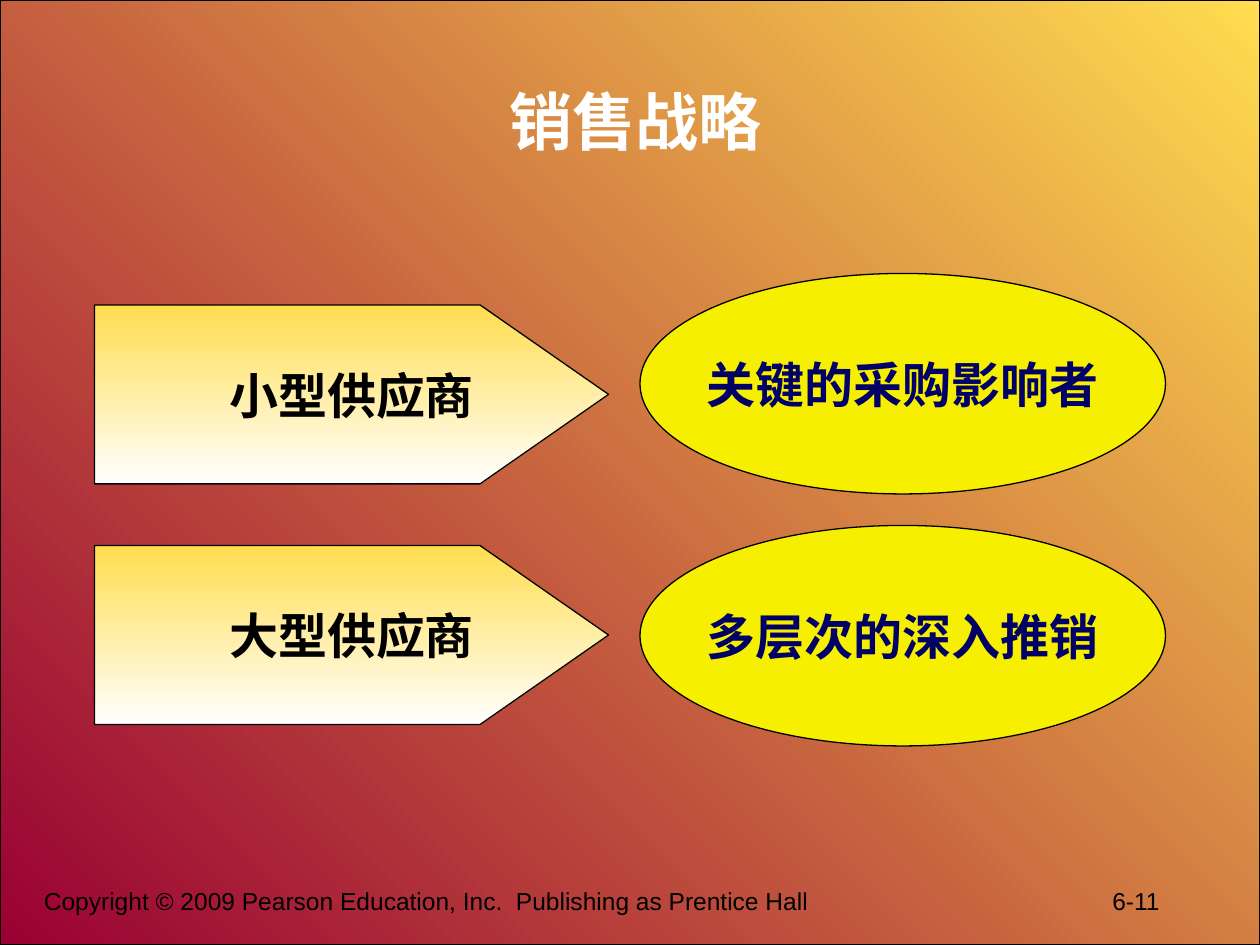
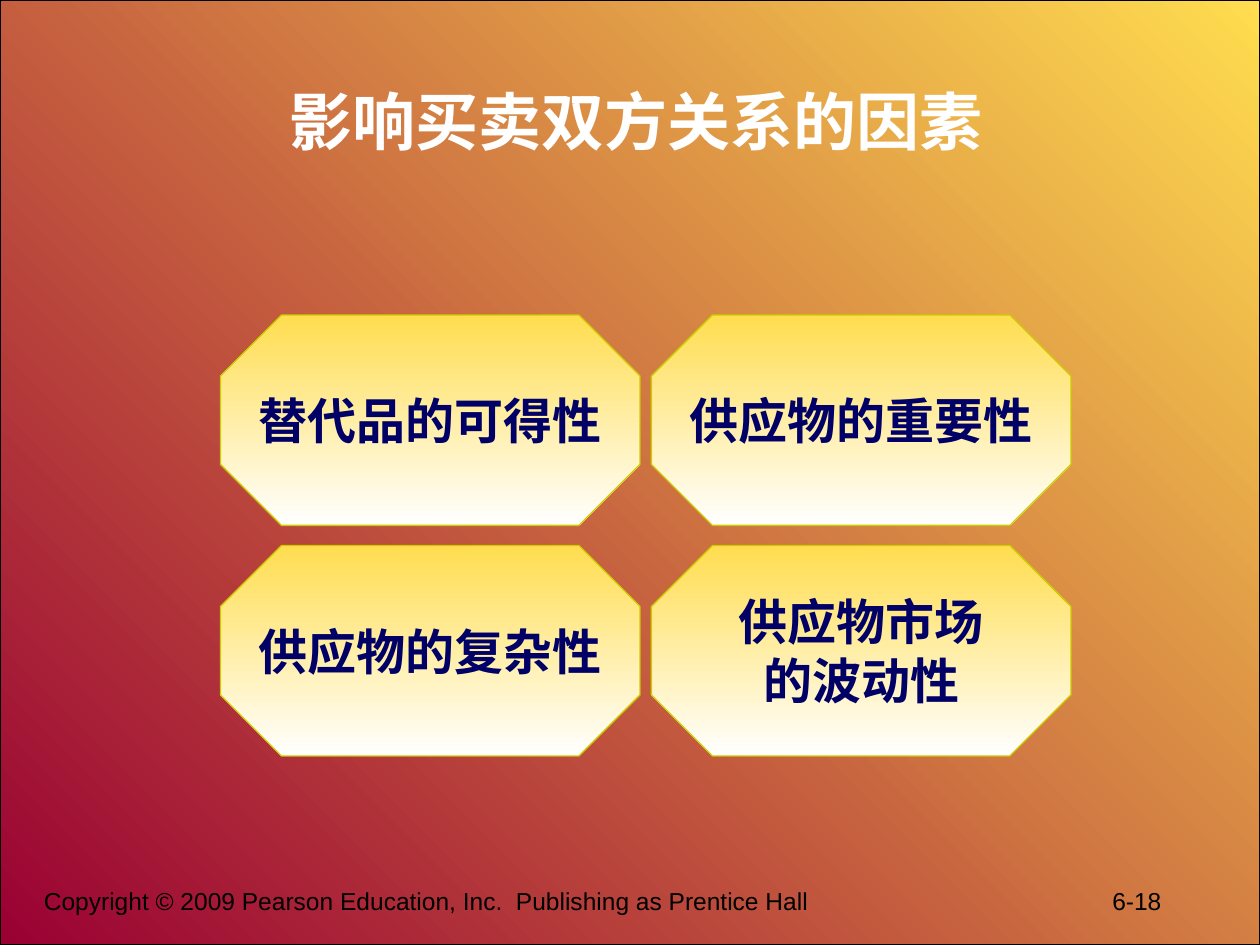
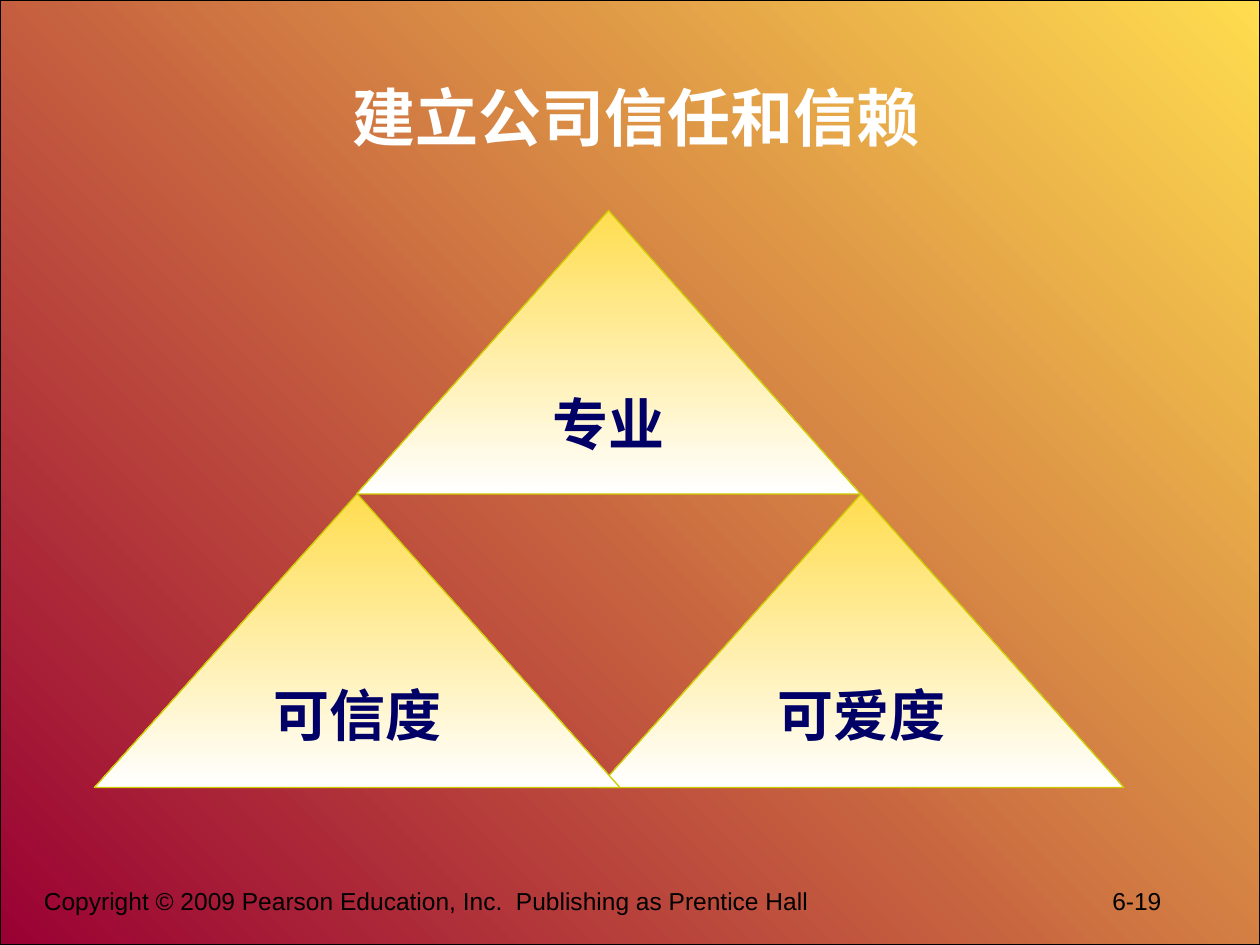
import dataclasses

import pptx
import pptx.dml.color
import pptx.enum.shapes
import pptx.enum.text
import pptx.oxml.ns
import pptx.util
from lxml import etree

Inches = pptx.util.Inches
Shape = pptx.enum.shapes.MSO_SHAPE
Align = pptx.enum.text.PP_ALIGN
Anchor = pptx.enum.text.MSO_ANCHOR


@dataclasses.dataclass(frozen=True)
class Theme:
    gold: str = "FFDD4F"
    crimson: str = "990033"
    white: str = "FFFFFF"
    black: str = "000000"
    navy: str = "000066"
    yellow: str = "F6F000"
    olive: str = "CCCC00"
    latin_font: str = "Arial"
    chinese_font: str = "Noto Sans CJK SC"
    title_size: int = 36
    large_size: int = 32
    label_size: int = 28
    footer_size: int = 14
    line_width: float = 0.75


THEME = Theme()
PAGE_WIDTH, PAGE_HEIGHT = 10, 7.5
COPYRIGHT = "Copyright © 2009 Pearson Education, Inc.  Publishing as Prentice Hall"

STRATEGIES = {
    "title": "销售战略",
    "number": "6-11",
    "rows": [("小型供应商", "关键的采购影响者"), ("大型供应商", "多层次的深入推销")],
}
FACTORS = {
    "title": "影响买卖双方关系的因素",
    "number": "6-18",
    "grid": [
        ["替代品的可得性", "供应物的重要性"],
        ["供应物的复杂性", "供应物市场\n的波动性"],
    ],
}
TRUST = {
    "title": "建立公司信任和信赖",
    "number": "6-19",
    "triangles": [
        ("专业", (2.83, 1.67, 4, 2.25)),
        ("可爱度", (4.75, 3.92, 4.17, 2.33)),
        ("可信度", (0.75, 3.92, 4.17, 2.33)),
    ],
}


def rgb(color):
    return pptx.dml.color.RGBColor.from_string(color)


def write(box, text, size, color, font=THEME.latin_font, bold=True,
          align=Align.CENTER, anchor=Anchor.MIDDLE, wrap=False):
    frame = box.text_frame
    frame.text = text
    frame.word_wrap = wrap
    frame.vertical_anchor = anchor
    for para in frame.paragraphs:
        para.alignment = align
        for span in para.runs:
            span.font.size = pptx.util.Pt(size)
            span.font.bold = bold
            span.font.color.rgb = rgb(color)
            span.font.name = font
            east_asian = etree.SubElement(span.font._element, pptx.oxml.ns.qn("a:ea"))
            east_asian.set("typeface", THEME.chinese_font)


def paint(shape, line, colors, angle=270):
    """Fill with one colour, or with a gradient between two."""
    shape.shadow.inherit = False
    shape.line.color.rgb = rgb(line)
    shape.line.width = pptx.util.Pt(THEME.line_width)
    if len(colors) == 1:
        shape.fill.solid()
        shape.fill.fore_color.rgb = rgb(colors[0])
        return
    shape.fill.gradient()
    shape.fill.gradient_angle = angle
    for stop, color in zip(shape.fill.gradient_stops, colors):
        stop.color.rgb = rgb(color)


def add_preset(page, kind, bounds, line, colors, angle=270):
    shape = page.shapes.add_shape(kind, *map(Inches, bounds))
    paint(shape, line, colors, angle)
    return shape


def add_pointer(page, left, top, width, height, shoulder):
    """Draw a block whose right side comes to a point past the shoulder."""
    outline = [
        (left, top), (left + shoulder, top), (left + width, top + height / 2),
        (left + shoulder, top + height), (left, top + height),
    ]
    points = [(Inches(x), Inches(y)) for x, y in outline]
    builder = page.shapes.build_freeform(*points[0])
    builder.add_line_segments(points[1:], close=True)
    pointer = builder.convert_to_shape()
    paint(pointer, THEME.black, (THEME.gold, THEME.white))
    return pointer


def add_page(deck, content, title_top=0.33):
    """Add a page with the shared background, footer and title."""
    page = deck.slides.add_slide(deck.slide_layouts[6])
    add_preset(page, Shape.RECTANGLE, (0, 0, PAGE_WIDTH, PAGE_HEIGHT),
               THEME.black, (THEME.gold, THEME.crimson), angle=225)

    footer = page.shapes.add_textbox(*map(Inches, (0.25, 6.98, 9.33, 0.52)))
    footer.text_frame.text = ""
    write(footer, f"{COPYRIGHT}\t{content['number']}", THEME.footer_size, THEME.black,
          bold=False, align=Align.LEFT, anchor=Anchor.TOP, wrap=True)
    properties = footer.text_frame.paragraphs[0]._p.get_or_add_pPr()
    tabs = etree.SubElement(properties, pptx.oxml.ns.qn("a:tabLst"))
    etree.SubElement(tabs, pptx.oxml.ns.qn("a:tab"), pos=str(Inches(8.48)), algn="l")

    title = page.shapes.add_textbox(*map(Inches, (0.42, title_top, 9.25, 1.25)))
    write(title, content["title"], THEME.title_size, THEME.white,
          font=THEME.chinese_font, wrap=True)
    return page


def build_strategies(deck):
    page = add_page(deck, STRATEGIES)
    for row, (supplier, _) in enumerate(STRATEGIES["rows"]):
        pointer = add_pointer(page, 0.75, 2.42 + row * 1.91, 4.08, 1.42, shoulder=3.06)
        write(pointer, supplier, THEME.label_size, THEME.black)
    for row, (_, approach) in enumerate(STRATEGIES["rows"]):
        oval = add_preset(page, Shape.OVAL, (5.08, 2.17 + row * 2, 4.17, 1.75),
                          THEME.black, (THEME.yellow,))
        write(oval, approach, THEME.label_size, THEME.navy)


def build_factors(deck):
    page = add_page(deck, FACTORS)
    for row, factors in enumerate(FACTORS["grid"]):
        for column, factor in enumerate(factors):
            bounds = (1.75 + column * 3.42, 2.5 + row * 1.83, 3.33, 1.67)
            octagon = add_preset(page, Shape.OCTAGON, bounds,
                                 THEME.olive, (THEME.gold, THEME.white))
            octagon.adjustments[0] = 0.29
            write(octagon, factor, THEME.label_size, THEME.navy)


def build_trust(deck):
    page = add_page(deck, TRUST, title_top=0.3)
    for quality, bounds in TRUST["triangles"]:
        triangle = add_preset(page, Shape.ISOSCELES_TRIANGLE, bounds,
                              THEME.olive, (THEME.gold, THEME.white))
        write(triangle, quality, THEME.large_size, THEME.navy)


def main():
    deck = pptx.Presentation()
    deck.slide_width, deck.slide_height = Inches(PAGE_WIDTH), Inches(PAGE_HEIGHT)
    build_strategies(deck)
    build_factors(deck)
    build_trust(deck)
    deck.save("out.pptx")


if __name__ == "__main__":
    main()
